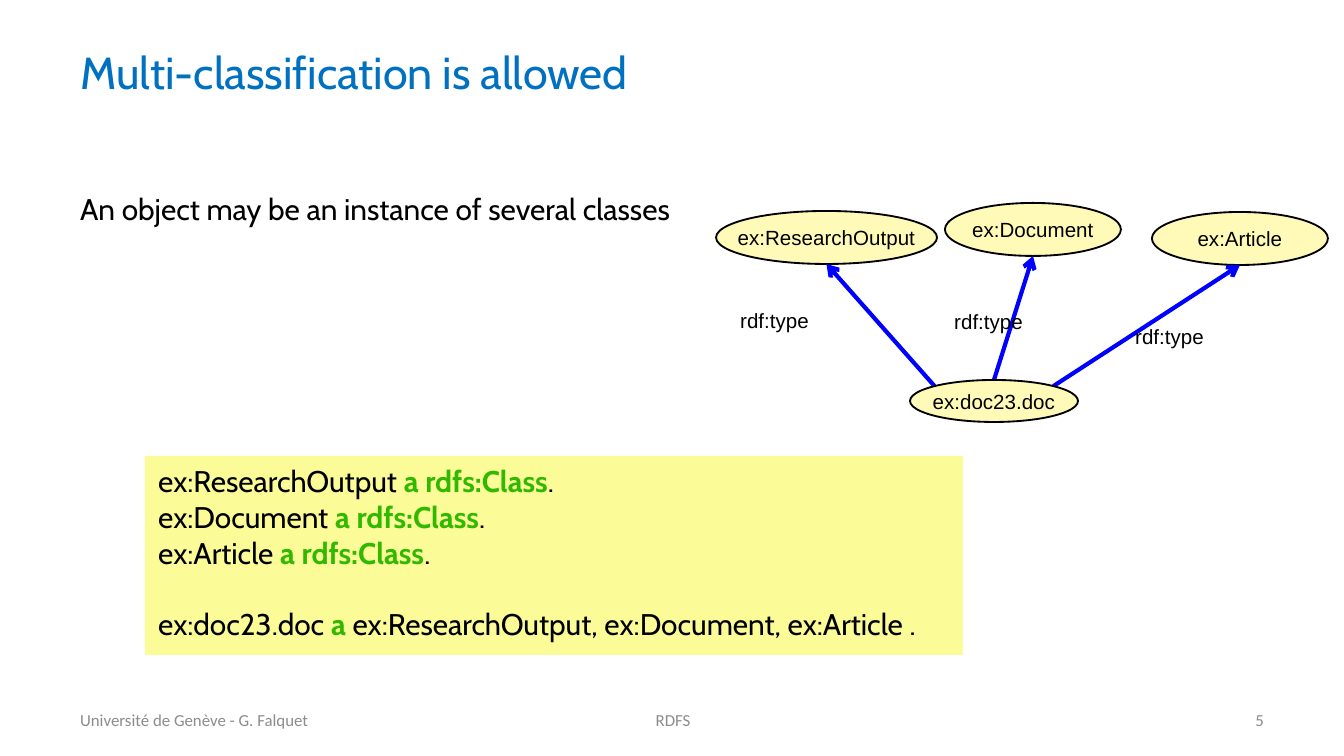
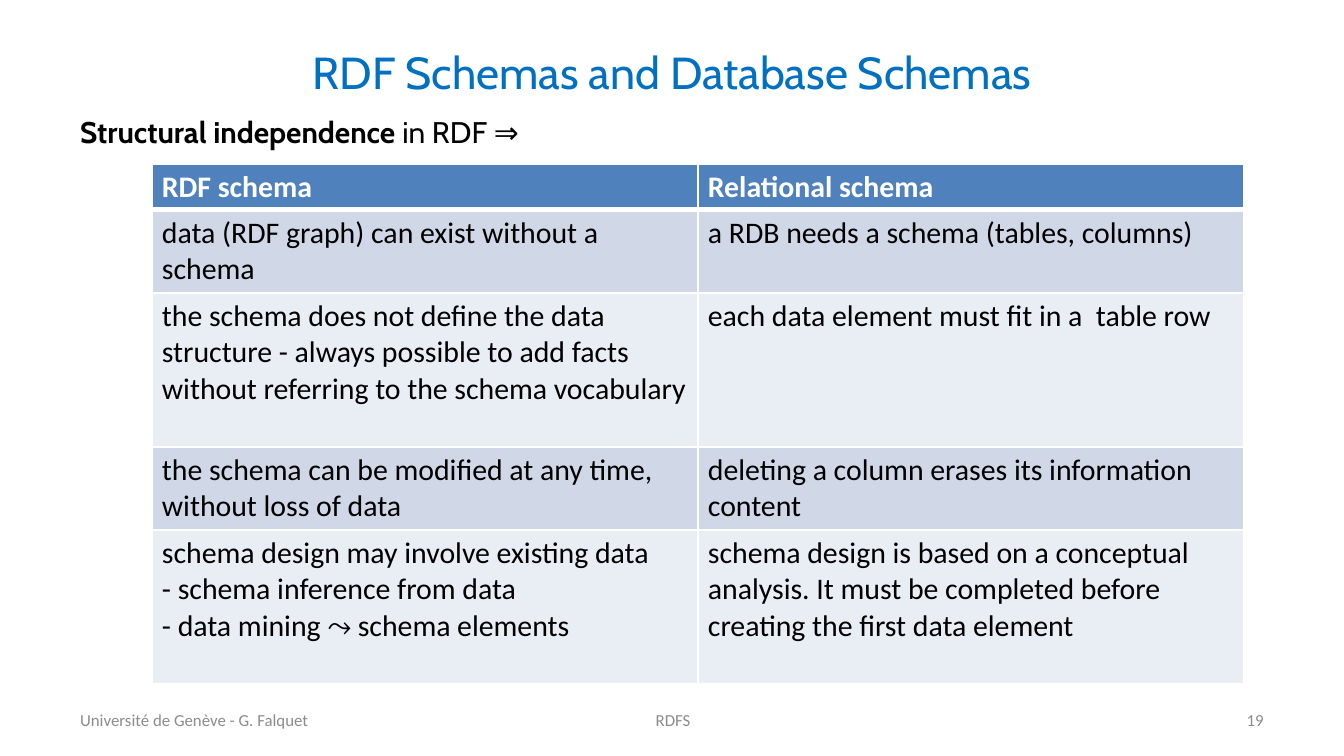
import math

from lxml import etree
from pptx import Presentation
from pptx import util as u
from pptx.dml.color import RGBColor
from pptx.enum import shapes, text
from pptx.oxml import ns

PX = 914400 / 134.4  # EMU in one px

BLUE = RGBColor(0x00, 0x70, 0xC0)
BLACK = RGBColor(0, 0, 0)
WHITE = RGBColor(0xFF, 0xFF, 0xFF)
GREY = RGBColor(0x8C, 0x8C, 0x8C)
GREEN = RGBColor(0x31, 0xB8, 0x00)
ARROW_BLUE = RGBColor(0, 0, 0xFF)
NODE_YELLOW = RGBColor(0xFF, 0xFA, 0xB8)
CODE_YELLOW = RGBColor(0xFB, 0xFB, 0x97)
HEADER_BLUE = RGBColor(0x4F, 0x81, 0xBD)
BANDS = (RGBColor(0xD0, 0xD8, 0xE8), RGBColor(0xE9, 0xED, 0xF4))

LEFT, CENTER, RIGHT = text.PP_ALIGN.LEFT, text.PP_ALIGN.CENTER, text.PP_ALIGN.RIGHT
MIDDLE, TOP = text.MSO_ANCHOR.MIDDLE, text.MSO_ANCHOR.TOP

# Content: a paragraph is a list of (wording, is keyword) runs
FOOTER = (("Université de Genève - G. Falquet", 67, 392, LEFT),
          ("RDFS", 460, 426, CENTER))
NUMBER_BOX = (964, 313, RIGHT)

STATEMENT = [[("An object may be an instance of several classes", False)]]
INDEPENDENCE = [[("Structural independence ", True), ("in RDF ⇒", False)]]

INSTANCE = ("ex:doc23.doc", (910, 380, 168, 42))
# class name, ellipse, label corner, angle at which the arrow leaves the instance
CLASSES = (
    ("ex:ResearchOutput", (716, 211, 221, 53), (727, 301), 135),
    ("ex:Document", (945, 203, 176, 53), (941, 302), 90),
    ("ex:Article", (1152, 212, 176, 53), (1122, 317), 45),
)
PROPERTY = "rdf:type"

DECLARATIONS = [[(name + " ", False), ("a rdfs:Class", True), (".", False)]
                for name, *_ in CLASSES]
TYPING = [("ex:doc23.doc ", False), ("a ", True),
          ("ex:ResearchOutput, ex:Document, ex:Article .", False)]

COMPARISON = (
    (46, "RDF schema", "Relational schema"),
    (83, "data (RDF graph) can exist without a schema",
     "a RDB needs a schema (tables, columns)"),
    (154, "the schema does not define the data structure - always possible to add "
     "facts without referring to the schema vocabulary",
     "each data element must fit in a  table row"),
    (83, "the schema can be modified at any time, without loss of data",
     "deleting a column erases its information content"),
    (154, "schema design may involve existing data\n- schema inference from data\n"
     "- data mining ⤳ schema elements",
     "schema design is based on a conceptual analysis. It must be completed "
     "before creating the first data element"),
)


def px(*lengths):
    return [u.Emu(round(length * PX)) for length in lengths]


# Text
def write(frame, paragraphs, font, size, color=BLACK, align=LEFT, anchor=MIDDLE,
          key_color=None, wrap=True):
    frame.word_wrap = wrap
    frame.vertical_anchor = anchor
    for i, runs in enumerate(paragraphs):
        paragraph = frame.paragraphs[0] if i == 0 else frame.add_paragraph()
        paragraph.alignment = align
        for wording, is_key in runs:
            run = paragraph.add_run()
            run.text = wording
            run.font.name, run.font.size = font, u.Pt(size)
            run.font.bold = is_key
            run.font.color.rgb = key_color if is_key and key_color else color


def add_text(slide, box, paragraphs, font, size, **style):
    frame = slide.shapes.add_textbox(*px(*box)).text_frame
    write(frame, paragraphs, font, size, **style)


# Parts shared by the slides
def add_slide(deck, title, number, align):
    slide = deck.slides.add_slide(deck.slide_layouts[5])
    heading = slide.shapes.title
    heading.left, heading.top, heading.width, heading.height = px(67, 31, 1210, 81)
    write(heading.text_frame, [[(title, False)]], "Cabin", 24, color=BLUE, align=align)
    heading.text_frame.auto_size = text.MSO_AUTO_SIZE.NONE
    for wording, left, width, side in FOOTER + ((number, *NUMBER_BOX),):
        add_text(slide, (left, 700, width, 40), [[(wording, False)]], "Calibri", 9,
                 color=GREY, align=side)
    return slide


def add_panel(slide, kind, box, fill):
    panel = slide.shapes.add_shape(kind, *px(*box))
    panel.shadow.inherit = False
    panel.fill.solid()
    panel.fill.fore_color.rgb = fill
    return panel


# Class diagram
def add_node(slide, name, box):
    node = add_panel(slide, shapes.MSO_SHAPE.OVAL, box, NODE_YELLOW)
    node.line.color.rgb = BLACK
    node.line.width = u.Pt(1)
    write(node.text_frame, [[(name, False)]], "Arial", 11, align=CENTER, wrap=False)


def rim(box, degrees):
    left, top, width, height = box
    angle = math.radians(degrees)
    return (left + width / 2 * (1 + math.cos(angle)),
            top + height / 2 * (1 - math.sin(angle)))


def add_arrow(slide, start, end):
    arrow = slide.shapes.add_connector(shapes.MSO_CONNECTOR.STRAIGHT,
                                       *px(*start, *end))
    arrow.line.color.rgb = ARROW_BLUE
    arrow.line.width = u.Pt(2.25)
    etree.SubElement(arrow.line._get_or_add_ln(), ns.qn("a:tailEnd"), type="arrow")
    etree.SubElement(arrow._element.spPr, ns.qn("a:effectLst"))


def add_diagram(slide):
    instance, instance_box = INSTANCE
    for name, box, corner, angle in CLASSES:
        add_node(slide, name, box)
        add_arrow(slide, rim(instance_box, angle), rim(box, 270))
        add_text(slide, (*corner, 104, 39), [[(PROPERTY, False)]], "Arial", 11,
                 anchor=TOP)
    add_node(slide, instance, instance_box)


def add_code(slide):
    code = add_panel(slide, shapes.MSO_SHAPE.RECTANGLE, (145, 456, 818, 199),
                     CODE_YELLOW)
    code.line.fill.background()
    write(code.text_frame, DECLARATIONS + [TYPING], "Cabin", 16, anchor=TOP,
          key_color=GREEN)
    code.text_frame.paragraphs[-1].space_before = u.Pt(19)


# Comparison table
def set_borders(cell, top, bottom):
    properties = cell._tc.get_or_add_tcPr()
    widths = (("L", 1), ("R", 1), ("T", top), ("B", bottom))
    for i, (side, width) in enumerate(widths):
        border = etree.Element(ns.qn("a:ln" + side), w=str(u.Pt(width)))
        fill = etree.SubElement(border, ns.qn("a:solidFill"))
        etree.SubElement(fill, ns.qn("a:srgbClr"), val=str(WHITE))
        properties.insert(i, border)


def add_comparison(slide):
    total = sum(height for height, *_ in COMPARISON)
    table = slide.shapes.add_table(len(COMPARISON), 2, *px(152, 164, 1092, total)).table
    for r, (height, *wordings) in enumerate(COMPARISON):
        is_header = r == 0
        table.rows[r].height = px(height)[0]
        for c, wording in enumerate(wordings):
            cell = table.cell(r, c)
            cell.margin_left = cell.margin_right = px(10)[0]
            cell.margin_top = cell.margin_bottom = px(5)[0]
            cell.fill.solid()
            cell.fill.fore_color.rgb = HEADER_BLUE if is_header else BANDS[(r - 1) % 2]
            set_borders(cell, top=3 if r == 1 else 1, bottom=3 if is_header else 1)
            lines = [[(line, is_header)] for line in wording.split("\n")]
            write(cell.text_frame, lines, "Calibri", 16,
                  color=WHITE if is_header else BLACK)
            cell.vertical_anchor = TOP


def main():
    deck = Presentation()
    deck.slide_width, deck.slide_height = px(1344, 756)

    classification = add_slide(deck, "Multi-classification is allowed", "5", LEFT)
    add_text(classification, (67, 137, 1059, 143), STATEMENT, "Cabin", 16)
    add_diagram(classification)
    add_code(classification)

    schemas = add_slide(deck, "RDF Schemas and Database Schemas", "19", CENTER)
    add_text(schemas, (67, 100, 907, 63), INDEPENDENCE, "Cabin", 16)
    add_comparison(schemas)

    deck.save("out.pptx")


if __name__ == "__main__":
    main()
